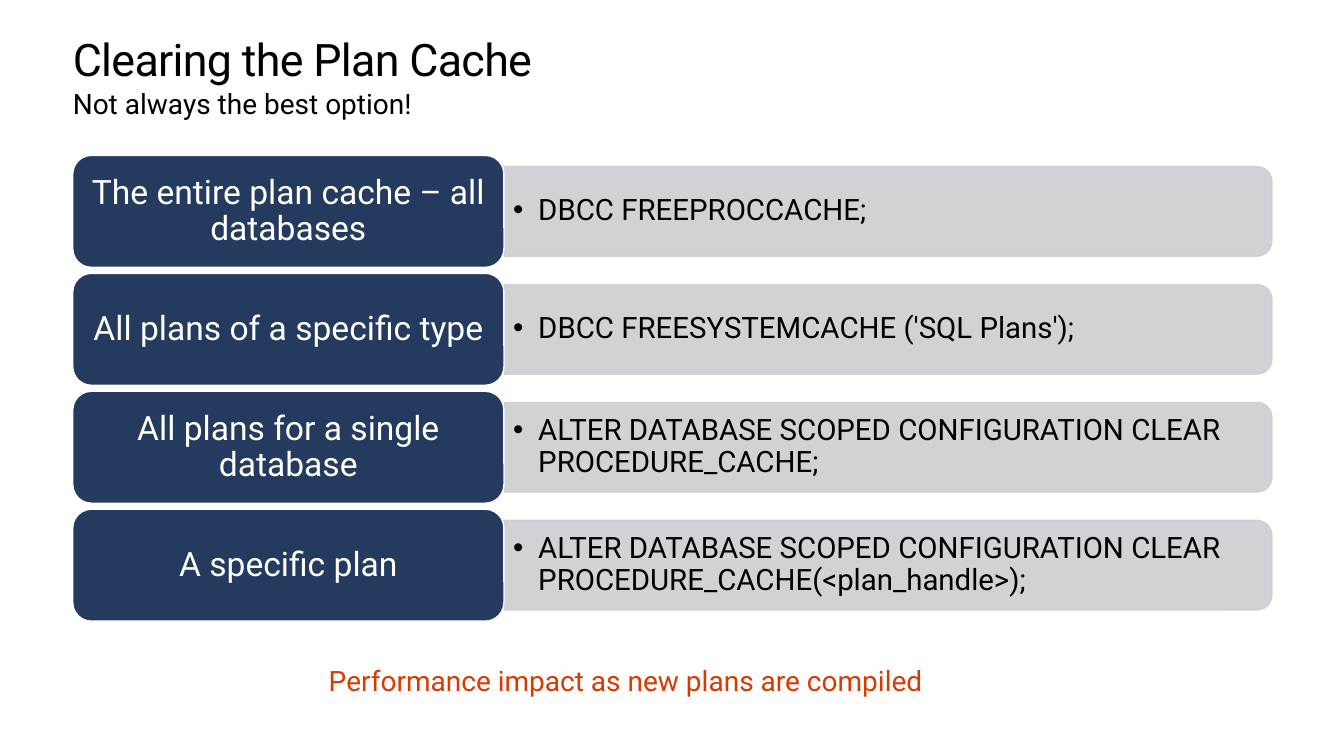
from dataclasses import dataclass

from lxml.etree import SubElement
from pptx import Presentation
from pptx.dml.color import RGBColor
from pptx.enum.shapes import MSO_SHAPE
from pptx.enum.text import MSO_ANCHOR, PP_ALIGN
from pptx.oxml.ns import qn
from pptx.util import Pt


@dataclass(frozen=True)
class Theme:
    font: str = "Roboto"
    black: RGBColor = RGBColor(0, 0, 0)
    white: RGBColor = RGBColor(255, 255, 255)
    navy: RGBColor = RGBColor(0x24, 0x3A, 0x5E)
    gray: RGBColor = RGBColor(0xCD, 0xCE, 0xD2)
    alert: RGBColor = RGBColor(0xD8, 0x3B, 0x01)
    head: int = 32
    label: int = 24
    code: int = 21
    note: int = 20


theme = Theme()


def write(shape, text, size, color, align=PP_ALIGN.LEFT, anchor=MSO_ANCHOR.TOP, pad=(0, 0)):
    """Fill a shape with one styled paragraph and return it; pad is (sides, ends)."""
    frame = shape.text_frame
    frame.text = text
    frame.word_wrap = True
    frame.vertical_anchor = anchor
    frame.margin_left = frame.margin_right = Pt(pad[0])
    frame.margin_top = frame.margin_bottom = Pt(pad[1])
    para = frame.paragraphs[0]
    para.alignment = align
    font = para.runs[0].font
    font.name, font.size, font.color.rgb = theme.font, Pt(size), color
    return para


def paint(shape, fill, line, alpha=None):
    """Set a flat fill and a thin outline, with an optional opacity in percent."""
    shape.shadow.inherit = False
    shape.fill.solid()
    shape.fill.fore_color.rgb = fill
    shape.line.color.rgb = line
    shape.line.width = Pt(1)
    if alpha:
        for color in shape._element.spPr.iter(qn("a:srgbClr")):
            SubElement(color, qn("a:alpha"), val=str(alpha * 1000))


deck = Presentation()
deck.slide_width, deck.slide_height = Pt(960), Pt(540)
slide = deck.slides.add_slide(deck.slide_layouts[5])
shapes = slide.shapes

# Heading
left, wide = 52, 857
title = shapes.title
title.left, title.top, title.width, title.height = Pt(left), Pt(25), Pt(wide), Pt(73)
para = write(title, "Clearing the Plan Cache", theme.head, theme.black)
para.line_spacing = Pt(36.2)
para.runs[0].font._element.set("spc", "-50")
box = shapes.add_textbox(Pt(left), Pt(62), Pt(wide), Pt(36))
write(box, "Not always the best option!", theme.note, theme.black)

# Rows: a label on the left and its command on the right
rows = [
    ("The entire plan cache – all databases", "DBCC FREEPROCCACHE;"),
    ("All plans of a specific type", "DBCC FREESYSTEMCACHE ('SQL Plans');"),
    ("All plans for a single database",
     "ALTER DATABASE SCOPED CONFIGURATION CLEAR PROCEDURE_CACHE;"),
    ("A specific plan",
     "ALTER DATABASE SCOPED CONFIGURATION CLEAR PROCEDURE_CACHE(<plan_handle>);"),
]
first, pitch = 151, 84.25
label_w, label_h = 308, 80
bar_w, bar_h = 548.5, 64
code_w, code_h = 545, 58
split = left + label_w

for i, (name, code) in enumerate(rows):
    mid = first + i * pitch

    # The bar is turned a quarter so that its round corners face right
    bar = shapes.add_shape(MSO_SHAPE.ROUND_2_SAME_RECTANGLE,
                           Pt(split + (bar_w - bar_h) / 2), Pt(mid - bar_w / 2),
                           Pt(bar_h), Pt(bar_w))
    bar.rotation = 90
    paint(bar, theme.gray, theme.gray, alpha=90)

    box = shapes.add_textbox(Pt(split), Pt(mid - code_h / 2), Pt(code_w), Pt(code_h))
    para = write(box, code, theme.code, theme.black, anchor=MSO_ANCHOR.MIDDLE, pad=(6.5, 3))
    para.line_spacing = 0.9
    props = para._p.get_or_add_pPr()
    props.set("marL", str(Pt(18)))
    props.set("indent", str(Pt(-18)))
    SubElement(props, qn("a:buFont"), typeface="Arial")
    SubElement(props, qn("a:buChar"), char="•")

    label = shapes.add_shape(MSO_SHAPE.ROUNDED_RECTANGLE, Pt(left), Pt(mid - label_h / 2),
                             Pt(label_w), Pt(label_h))
    paint(label, theme.navy, theme.white)
    para = write(label, name, theme.label, theme.white, PP_ALIGN.CENTER,
                 MSO_ANCHOR.MIDDLE, (7, 3.5))
    para.line_spacing = 0.9

# Warning
box = shapes.add_textbox(Pt(168), Pt(474), Pt(558), Pt(24))
write(box, "Performance impact as new plans are compiled", theme.note, theme.alert,
      PP_ALIGN.CENTER)

deck.save("out.pptx")
